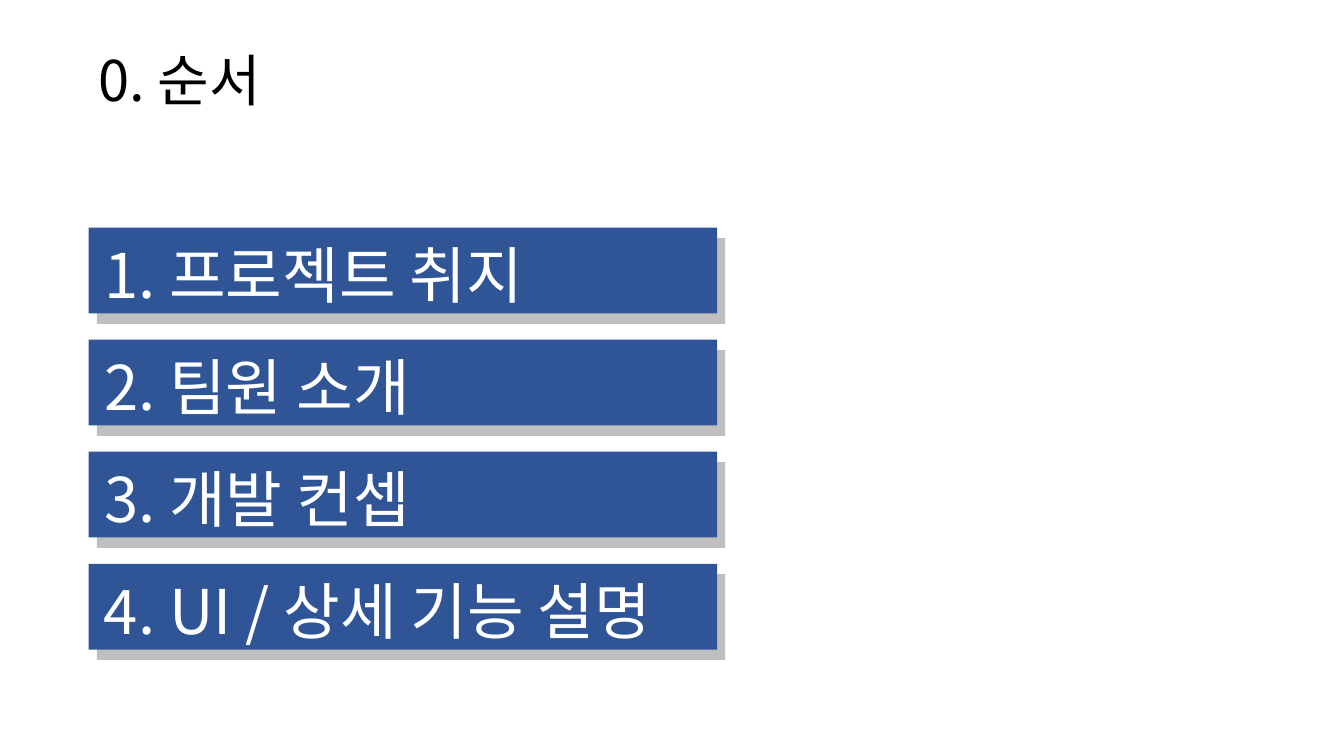
from dataclasses import dataclass

from pptx import Presentation
from pptx import util as u
from pptx.dml.color import RGBColor
from pptx.enum import shapes, text
from pptx.oxml.ns import qn


@dataclass
class Theme:
    font: str = "Noto Sans CJK KR"
    ink: str = "000000"
    light: str = "FFFFFF"
    bar: str = "2F5597"
    shade: str = "BFBFBF"
    head: int = 40
    item: int = 44


class Deck:
    """Places elements in percent of the slide's width and height."""

    def __init__(self, theme):
        self.theme = theme
        self.prs = Presentation()
        self.prs.slide_width = u.Inches(13.33)
        self.prs.slide_height = u.Inches(7.5)
        self.slide = self.prs.slides.add_slide(self.prs.slide_layouts[6])

    def area(self, left, top, width, height):
        wide, high = self.prs.slide_width / 100, self.prs.slide_height / 100
        return (round(left * wide), round(top * high),
                round(width * wide), round(height * high))

    def rect(self, box, color):
        shape = self.slide.shapes.add_shape(
            shapes.MSO_SHAPE.RECTANGLE, *self.area(*box))
        shape.shadow.inherit = False
        shape.fill.solid()
        shape.fill.fore_color.rgb = RGBColor.from_string(color)
        shape.line.fill.background()

    def label(self, box, words, size, color, wrap=False):
        frame = self.slide.shapes.add_textbox(*self.area(*box)).text_frame
        frame.word_wrap = wrap
        if not wrap:
            frame.auto_size = text.MSO_AUTO_SIZE.SHAPE_TO_FIT_TEXT
        run = frame.paragraphs[0].add_run()
        run.text = words
        run.font.size = u.Pt(size)
        run.font.name = self.theme.font
        run.font.color.rgb = RGBColor.from_string(color)
        # East Asian typeface for the Korean letters
        props = run.font._element
        east = props.makeelement(qn("a:ea"), {"typeface": self.theme.font})
        props.find(qn("a:latin")).addnext(east)
        return frame

    def title(self, box, words):
        frame = self.label(box, words, self.theme.head, self.theme.ink, True)
        frame.vertical_anchor = text.MSO_ANCHOR.MIDDLE
        frame.paragraphs[0].line_spacing = 0.9

    def entry(self, top, words, width):
        left, wide, high = 6.6, 46.75, 11.35
        self.rect((left + 0.6, top + 1.38, wide, high), self.theme.shade)
        self.rect((left, top, wide, high), self.theme.bar)
        self.label((left + 0.4, top + 0.58, width, 11.2), words,
                   self.theme.item, self.theme.light)


def main():
    deck = Deck(Theme())

    # Heading
    deck.title((6.6, 6.25, 50.55, 9.6), "0. 순서")

    # Agenda bars with the width of each label
    items = [
        ("1. 프로젝트 취지", 36.1),
        ("2. 팀원 소개", 26.85),
        ("3. 개발 컨셉", 26.85),
        ("4. UI / 상세 기능 설명", 47.35),
    ]
    first, step = 30.12, 14.82
    for row, (words, width) in enumerate(items):
        deck.entry(first + row * step, words, width)

    deck.prs.save("out.pptx")


if __name__ == "__main__":
    main()
